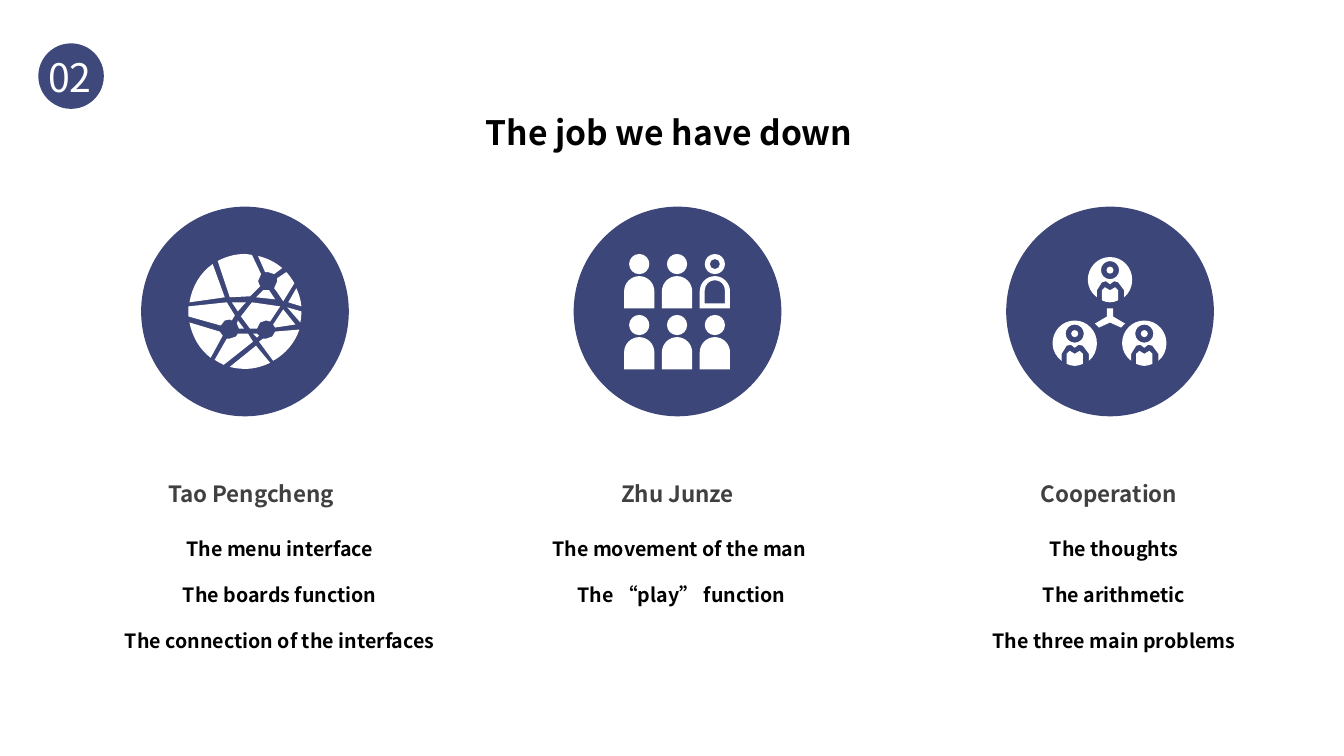
from itertools import product
from math import atan2, hypot, pi, tan

from lxml.etree import SubElement
from pptx import Presentation
from pptx.dml.color import RGBColor
from pptx.enum.lang import MSO_LANGUAGE_ID
from pptx.enum.shapes import MSO_SHAPE
from pptx.enum.text import MSO_ANCHOR, MSO_AUTO_SIZE, PP_ALIGN
from pptx.oxml.ns import qn
from pptx.util import Inches, Pt

COLORS = {
    "badge": "3E487A",
    "disc": "3C4678",
    "white": "FFFFFF",
    "name": "404040",
    "black": "000000",
}
FONT = "Noto Sans CJK SC"
KAPPA = 0.55
GLOBE_PIECES = [
    [(0.67, 0.91), (0.71, 0.96), (0.81, 1.08), (0.56, 1.14), (0.41, 1.12)],
    [(0.64, 0.79), (0.68, 0.79), (0.7, 0.81), (0.68, 0.83)],
    [(0.49, 0.79), (0.59, 0.79), (0.64, 0.87), (0.35, 1.1), (0.26, 1.05),
     (0.38, 0.84), (0.41, 0.84), (0.47, 0.82)],
    [(1.1, 0.75), (0.84, 1.06), (0.7, 0.87), (0.74, 0.84), (0.77, 0.84),
     (0.83, 0.82), (0.86, 0.77)],
    [(0.01, 0.68), (0.31, 0.77), (0.34, 0.81), (0.22, 1.03)],
    [(0.49, 0.66), (0.55, 0.74), (0.5, 0.74), (0.48, 0.69)],
    [(0.94, 0.55), (1.06, 0.7), (0.86, 0.73), (0.84, 0.7)],
    [(0.98, 0.53), (1.12, 0.57), (1.11, 0.68)],
    [(0.38, 0.48), (0.46, 0.61), (0.43, 0.66), (0.41, 0.65), (0.36, 0.66),
     (0.32, 0.71), (0, 0.62), (0, 0.52)],
    [(0.63, 0.48), (0.91, 0.52), (0.81, 0.67), (0.77, 0.66), (0.71, 0.68),
     (0.68, 0.74), (0.61, 0.74), (0.52, 0.62), (0.59, 0.53)],
    [(0.57, 0.48), (0.55, 0.5), (0.49, 0.57), (0.43, 0.48)],
    [(0.74, 0.36), (0.8, 0.36), (0.86, 0.45), (0.67, 0.43)],
    [(1.07, 0.34), (1.12, 0.52), (0.99, 0.48)],
    [(0.97, 0.18), (1.05, 0.29), (0.94, 0.47), (0.88, 0.38), (0.85, 0.34),
     (0.88, 0.27), (0.88, 0.24)],
    [(0.24, 0.1), (0.36, 0.43), (0.01, 0.48)],
    [(0.69, 0.02), (0.93, 0.14), (0.85, 0.2), (0.79, 0.18), (0.76, 0.18)],
    [(0.56, 0), (0.63, 0.01), (0.72, 0.2), (0.69, 0.27), (0.71, 0.32),
     (0.61, 0.42), (0.41, 0.43), (0.29, 0.07)],
]
MEMBER_PIECES = [
    [(0.22, 0), (0.44, 0.23), (0.36, 0.4), (0.36, 0.33), (0.3, 0.25), (0.26, 0.24),
     (0.22, 0.27), (0.18, 0.24), (0.14, 0.25), (0.09, 0.33), (0.09, 0.4), (0, 0.23)],
    [(0.17, 0.3), (0.22, 0.33), (0.27, 0.3), (0.3, 0.33), (0.3, 0.43),
     (0.22, 0.45), (0.14, 0.43), (0.14, 0.33)],
]
HUB = [(0.54, 0.51), (0.6, 0.51), (0.6, 0.59), (0.72, 0.66), (0.68, 0.7),
       (0.57, 0.65), (0.46, 0.7), (0.42, 0.66), (0.54, 0.59)]


def color(name):
    return RGBColor.from_string(COLORS[name])


def paint(shape, fill):
    shape.shadow.inherit = False
    shape.fill.solid()
    shape.fill.fore_color.rgb = color(fill)
    shape.line.fill.background()


def add_disc(slide, left, top, width, height, fill):
    paint(slide.shapes.add_shape(
        MSO_SHAPE.OVAL, Inches(left), Inches(top), Inches(width), Inches(height)
    ), fill)


def shift(contour, left, top):
    return [(left + x, top + y) for x, y in contour]


def line_to(start, end):
    (x1, y1), (x2, y2) = start, end
    return [(x1 + (x2 - x1) * part / 3, y1 + (y2 - y1) * part / 3) for part in (1, 2, 3)]


def rim_arc(start, end, center):
    (x1, y1), (x2, y2) = [(x - center[0], y - center[1]) for x, y in (start, end)]
    turn = (atan2(y2, x2) - atan2(y1, x1) + pi) % (2 * pi) - pi
    reach = 4 / 3 * tan(turn / 4)
    controls = [(x1 - reach * y1, y1 + reach * x1), (x2 + reach * y2, y2 - reach * x2)]
    return shift(controls, *center) + [end]


def piece(corners, center=(0, 0), radius=0):
    contour = [corners[0]]
    for start, end in zip(corners, corners[1:] + corners[:1]):
        on_rim = all(
            abs(hypot(x - center[0], y - center[1]) - radius) < 0.02 for x, y in (start, end)
        )
        contour += rim_arc(start, end, center) if on_rim else line_to(start, end)
    return contour


def circle(x, y, radius):
    corners = [(x, y - radius), (x + radius, y), (x, y + radius), (x - radius, y)]
    return piece(corners, (x, y), radius)


def torso(left, top, width, height):
    radius = width / 2
    right, shoulder, bottom = left + width, top + radius, top + height
    middle, handle = left + radius, radius * KAPPA
    return [
        (left, shoulder),
        (left, shoulder - handle), (middle - handle, top), (middle, top),
        (middle + handle, top), (right, shoulder - handle), (right, shoulder),
        *line_to((right, shoulder), (right, bottom)),
        *line_to((right, bottom), (left, bottom)),
        *line_to((left, bottom), (left, shoulder)),
    ]


def add_icon(slide, left, top, contours):
    placed = [
        [(Inches(x), Inches(y)) for x, y in shift(contour, left, top)] for contour in contours
    ]
    builder = slide.shapes.build_freeform(*placed[0][0], scale=1.0)
    for index, contour in enumerate(placed):
        if index:
            builder.move_to(*contour[0])
        builder.add_line_segments(contour[1:], close=True)
    shape = builder.convert_to_shape()
    segments = list(shape._element.iter(qn("a:lnTo")))
    for first, second, third in zip(segments[::3], segments[1::3], segments[2::3]):
        first.tag = qn("a:cubicBezTo")
        for segment in (second, third):
            first.append(segment[0])
            segment.getparent().remove(segment)
    paint(shape, "white")


def draw_globe(slide, left, top):
    add_icon(slide, left, top, [piece(corners, (0.565, 0.57), 0.57) for corners in GLOBE_PIECES])


def draw_people(slide, left, top):
    contours = []
    for row, column in product(range(2), range(3)):
        x, y = 0.375 * column, 0.605 * row
        contours += [circle(x + 0.15, y + 0.1, 0.1), torso(x, y + 0.22, 0.3, 0.32)]
        if (row, column) == (0, 2):
            contours += [circle(x + 0.15, y + 0.1, 0.05), torso(x + 0.05, y + 0.26, 0.2, 0.23)]
    add_icon(slide, left, top, contours)


def draw_team(slide, left, top):
    member = [piece(corners, (0.22, 0.225), 0.225) for corners in MEMBER_PIECES]
    member += [circle(0.22, 0.13, radius) for radius in (0.09, 0.035)]
    contours = [piece(HUB)]
    for x, y in [(0.35, 0), (0, 0.63), (0.69, 0.63)]:
        contours += [shift(contour, x, y) for contour in member]
    add_icon(slide, left, top, contours)


def add_run(paragraph, text, size, fill, bold=True):
    run = paragraph.add_run()
    run.text = text
    run.font.size = Pt(size)
    run.font.bold = bold
    run.font.name = FONT
    run.font.color.rgb = color(fill)
    run.font.language_id = MSO_LANGUAGE_ID.SIMPLIFIED_CHINESE
    SubElement(run.font._element, qn("a:ea")).set("typeface", FONT)


def add_text_box(slide, left, top, width, height, wrap=True):
    box = slide.shapes.add_textbox(Inches(left), Inches(top), Inches(width), Inches(height))
    box.text_frame.word_wrap = wrap
    return box.text_frame


def draw_badge(slide, left, top):
    add_disc(slide, left, top, 0.65, 0.65, "badge")
    frame = add_text_box(slide, left, top + 0.05, 0.66, 0.57, wrap=False)
    add_run(frame.paragraphs[0], "02", 28, "white", bold=False)


def draw_title(slide, left, top, width, height):
    title = slide.shapes.title
    title.left, title.top = Inches(left), Inches(top)
    title.width, title.height = Inches(width), Inches(height)
    frame = title.text_frame
    frame.word_wrap = True
    frame.auto_size = MSO_AUTO_SIZE.NONE
    frame.vertical_anchor = MSO_ANCHOR.TOP
    frame.paragraphs[0].alignment = PP_ALIGN.CENTER
    add_run(frame.paragraphs[0], "The job we have down", 24, "black")


def draw_job(slide, left, top, draw_icon, icon_offset, name, name_left, tasks, tasks_box):
    add_disc(slide, left, top, 2.06, 2.08, "disc")
    draw_icon(slide, left + icon_offset[0], top + icon_offset[1])
    name_frame = add_text_box(slide, name_left, top + 2.66, 2.37, 0.37)
    name_frame.paragraphs[0].alignment = PP_ALIGN.CENTER
    add_run(name_frame.paragraphs[0], name, 16, "name")
    tasks_left, tasks_width = tasks_box
    frame = add_text_box(slide, tasks_left, top + 3.16, tasks_width, 1.18)
    frame.margin_left = frame.margin_right = frame.margin_top = frame.margin_bottom = 0
    for index, task in enumerate(tasks):
        paragraph = frame.add_paragraph() if index else frame.paragraphs[0]
        paragraph.alignment = PP_ALIGN.CENTER
        paragraph.line_spacing = 1.5
        paragraph.space_before = Pt(7.5)
        add_run(paragraph, task, 14, "black")


def main():
    presentation = Presentation()
    presentation.slide_width = Inches(13.33)
    presentation.slide_height = Inches(7.5)
    slide = presentation.slides.add_slide(presentation.slide_layouts[5])
    draw_badge(slide, 0.38, 0.43)
    draw_title(slide, 3.89, 1.06, 5.49, 0.5)
    jobs = [
        (draw_globe, (0.47, 0.47), "Tao Pengcheng ", 1.33,
         ["The menu interface", "The boards function", "The connection of the interfaces"],
         (1.14, 3.27)),
        (draw_people, (0.5, 0.47), "Zhu Junze ", 5.56,
         ["The movement of the man ", "The “play” function"], (5.42, 2.68)),
        (draw_team, (0.46, 0.5), "Cooperation ", 9.84,
         ["The thoughts", "The arithmetic", "The three main problems"], (9.71, 2.68)),
    ]
    for index, job in enumerate(jobs):
        draw_job(slide, 1.4 + 4.29 * index, 2.05, *job)
    presentation.save("out.pptx")


if __name__ == "__main__":
    main()
